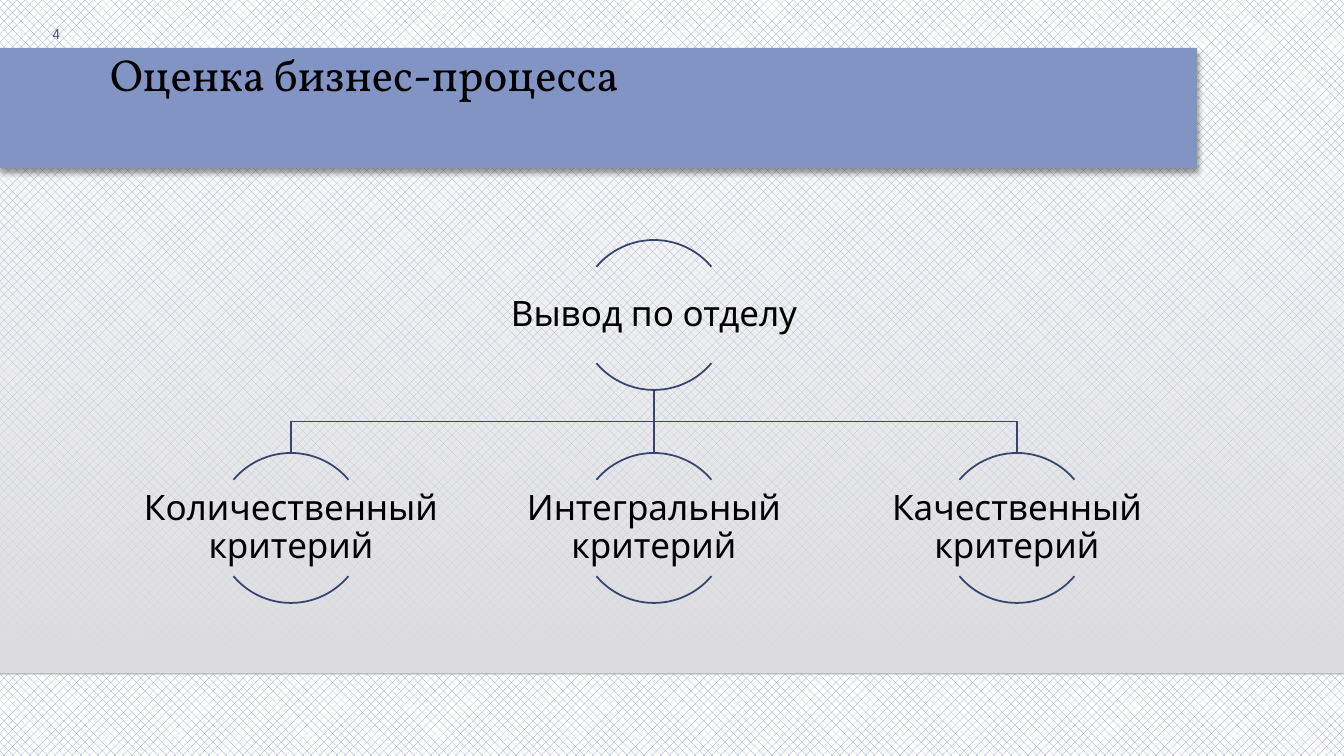
from dataclasses import dataclass
from lxml import etree
from pptx import Presentation
from pptx.dml.color import RGBColor
from pptx.enum.dml import MSO_PATTERN
from pptx.enum.shapes import MSO_CONNECTOR, MSO_SHAPE
from pptx.enum.text import MSO_ANCHOR, MSO_AUTO_SIZE, PP_ALIGN
from pptx.oxml.ns import qn
from pptx.util import Pt

PATTERN = MSO_PATTERN.from_xml("pct40")
STRAIGHT = MSO_CONNECTOR.STRAIGHT
RECTANGLE, ARC = MSO_SHAPE.RECTANGLE, MSO_SHAPE.ARC
TOP, MIDDLE = MSO_ANCHOR.TOP, MSO_ANCHOR.MIDDLE
SHRINK = MSO_AUTO_SIZE.TEXT_TO_FIT_SHAPE
CENTER, RIGHT, JUSTIFY = PP_ALIGN.CENTER, PP_ALIGN.RIGHT, PP_ALIGN.JUSTIFY

EMU_PER_PX = 914400 / 100.8
PAGE_WIDTH, PAGE_HEIGHT = 1344, 756


@dataclass(frozen=True)
class Theme:
    accent: str = "8294C3"
    white: str = "FFFFFF"
    black: str = "000000"
    panel_top: str = "DCDCE0"
    panel_bottom: str = "DEDEE2"
    branch: str = "34446D"
    number: str = "415588"
    title_font: str = "Vollkorn"
    body_font: str = "League Spartan"
    title_size: int = 32
    body_size: int = 25
    number_size: int = 18
    branch_width: float = 1.25


THEME = Theme()


def px(value):
    return round(value * EMU_PER_PX)


def box_px(box):
    return [px(value) for value in box]


def rgb(name):
    return RGBColor.from_string(name)


def set_alpha(color_element, percent):
    etree.SubElement(color_element, qn("a:alpha"), val=str(percent * 1000))


def style_line(shape, color, width):
    shape.line.color.rgb = rgb(color)
    shape.line.width = Pt(width)


def add_line(shapes, start, end, color, width):
    line = shapes.add_connector(STRAIGHT, *box_px(start + end))
    style_line(line, color, width)
    etree.SubElement(line._element.spPr, qn("a:effectLst"))
    return line


def set_text(shape, text, font, size, color, align, anchor, spacing=None):
    frame = shape.text_frame
    frame.word_wrap = True
    frame.vertical_anchor = anchor
    frame.text = text
    para = frame.paragraphs[0]
    para.alignment = align
    if spacing:
        para.line_spacing = spacing
    span = para.runs[0]
    span.font.name = font
    span.font.size = Pt(size)
    span.font.color.rgb = rgb(color)
    return frame


def add_backdrop(slide, box):
    fill = slide.background.fill
    fill.patterned()
    fill.pattern = PATTERN
    fill.fore_color.rgb = rgb(THEME.accent)
    fill.back_color.rgb = rgb(THEME.white)

    left, top, width, height = box
    panel = slide.shapes.add_shape(RECTANGLE, *box_px(box))
    panel.shadow.inherit = False
    panel.line.fill.background()
    panel.fill.gradient()
    panel.fill.gradient_angle = 270
    for stop, color in zip(panel.fill.gradient_stops, (THEME.panel_top, THEME.panel_bottom)):
        stop.color.rgb = rgb(color)
    colors = list(panel._element.spPr.iter(qn("a:srgbClr")))
    set_alpha(colors[0], 0)

    bottom = top + height
    edge = add_line(slide.shapes, (left, bottom), (left + width, bottom), THEME.black, 1)
    set_alpha(next(edge._element.spPr.iter(qn("a:srgbClr"))), 20)


def add_title(slide, box, text):
    banner = slide.shapes.add_shape(RECTANGLE, *box_px(box))
    banner.shadow.inherit = False
    banner.fill.solid()
    banner.fill.fore_color.rgb = rgb(THEME.accent)
    banner.line.fill.background()
    effects = banner._element.spPr.find(qn("a:effectLst"))
    shadow = etree.SubElement(effects, qn("a:outerShdw"), blurRad=str(Pt(4)),
                              dist=str(Pt(3)), dir="5400000", rotWithShape="0")
    set_alpha(etree.SubElement(shadow, qn("a:srgbClr"), val=THEME.black), 40)
    frame = set_text(banner, text, THEME.title_font, THEME.title_size,
                     THEME.black, JUSTIFY, TOP, 0.9)
    frame.margin_left = px(110)


def add_node(shapes, box, text):
    left, top, width, height = box
    circle = (left + (width - height) / 2, top, height, height)
    for start, end in ((132, 192), (24, 84)):
        arc = shapes.add_shape(ARC, *box_px(circle))
        arc.adjustments[0] = start
        arc.adjustments[1] = end
        arc.shadow.inherit = False
        arc.fill.background()
        style_line(arc, THEME.branch, THEME.branch_width)
    label_height = 96
    label_top = top + (height - label_height) / 2
    label = shapes.add_textbox(*box_px((left, label_top, width, label_height)))
    frame = set_text(label, text, THEME.body_font, THEME.body_size,
                     THEME.black, CENTER, MIDDLE, 0.9)
    frame.margin_left = frame.margin_right = px(2)
    frame.margin_top = frame.margin_bottom = px(2)


def add_branch(shapes, start, end):
    if start[0] == end[0]:
        add_line(shapes, start, end, THEME.branch, THEME.branch_width)
        return
    middle = (start[1] + end[1]) / 2
    builder = shapes.build_freeform(px(start[0]), px(start[1]))
    corners = ((start[0], middle), (end[0], middle), end)
    builder.add_line_segments([box_px(corner) for corner in corners], close=False)
    elbow = builder.convert_to_shape()
    elbow.shadow.inherit = False
    elbow.fill.background()
    style_line(elbow, THEME.branch, THEME.branch_width)


def add_hierarchy(slide, box, root, children):
    left, top, width, height = box
    node_width, node_height = 300, 150
    step = (width - node_width) / (len(children) - 1)
    center = left + width / 2
    child_top = top + height - node_height
    shapes = slide.shapes.add_group_shape().shapes
    child_lefts = [left + index * step for index in range(len(children))]
    for child_left in child_lefts:
        add_branch(shapes, (center, top + node_height),
                   (child_left + node_width / 2, child_top))
    add_node(shapes, (center - node_width / 2, top, node_width, node_height), root)
    for child_left, child in zip(child_lefts, children):
        add_node(shapes, (child_left, child_top, node_width, node_height), child)


def add_page_number(slide, box, text):
    number = slide.shapes.add_textbox(*box_px(box))
    frame = set_text(number, text, THEME.body_font, THEME.number_size,
                     THEME.number, RIGHT, TOP)
    frame.auto_size = SHRINK


def main():
    deck = Presentation()
    deck.slide_width, deck.slide_height = px(PAGE_WIDTH), px(PAGE_HEIGHT)
    slide = deck.slides.add_slide(deck.slide_layouts[6])
    add_backdrop(slide, (0, 51, PAGE_WIDTH, 623))
    add_title(slide, (0, 48, 1197, 120), "Оценка бизнес-процесса")
    add_hierarchy(slide, (141, 240, 1026, 363), "Вывод по отделу",
                  ("Количественный критерий", "Интегральный критерий", "Качественный критерий"))
    add_page_number(slide, (0, 20, 70, 26), "4")
    deck.save("out.pptx")


if __name__ == "__main__":
    main()
